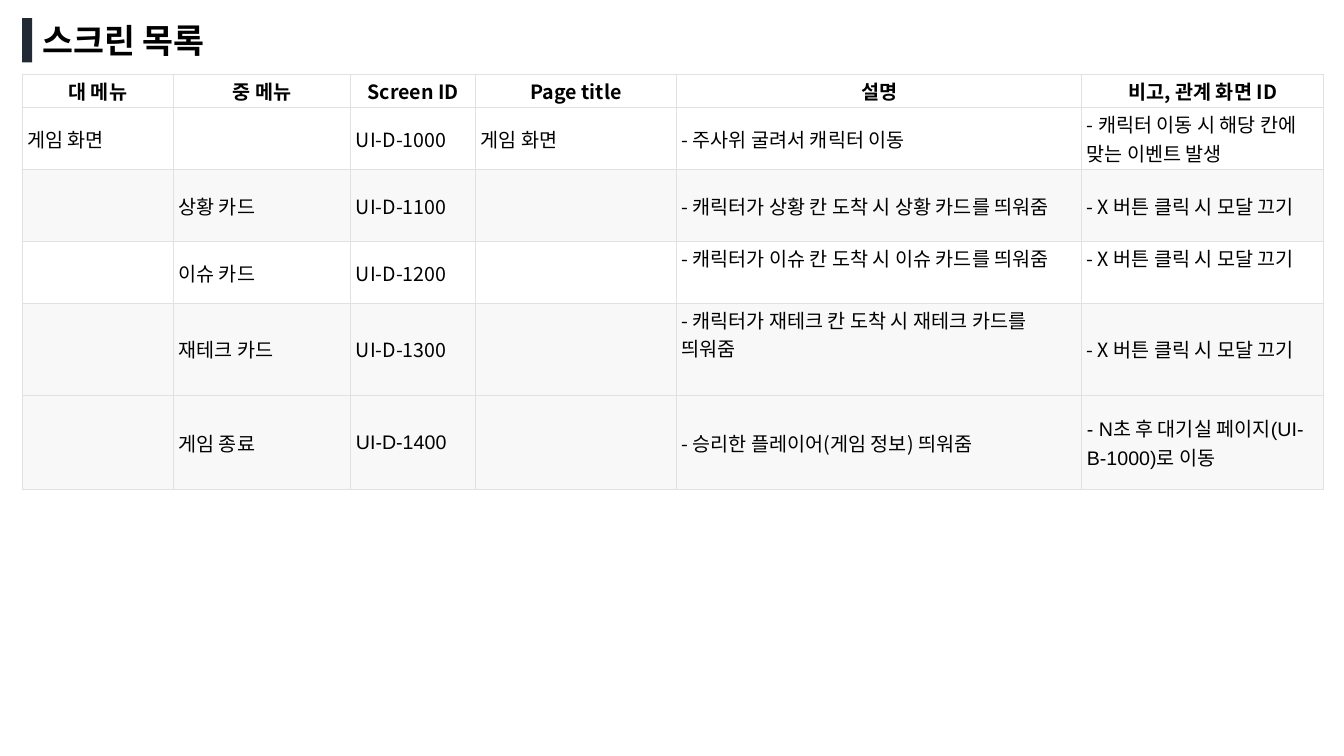
import pptx
import pptx.util
import pptx.dml.color
import pptx.enum.shapes
import pptx.enum.text
import pptx.oxml
import pptx.oxml.ns
from lxml import etree

Inches, Pt = pptx.util.Inches, pptx.util.Pt
ANCHOR = pptx.enum.text.MSO_ANCHOR
ALIGN = pptx.enum.text.PP_ALIGN
COLORS = {"text": "000000", "accent": "222A35", "border": "DFE2E5",
          "white": "FFFFFF", "stripe": "F8F8F8"}
KOREAN, LATIN = "Noto Sans CJK KR", "Arial"


def rgb(name):
    return pptx.dml.color.RGBColor.from_string(COLORS[name])


class SlideBuilder:
    def __init__(self, slide):
        self.slide = slide

    def add_run(self, paragraph, text, size, font=KOREAN, bold=False):
        run = paragraph.add_run()
        run.text = text
        run.font.size = Pt(size)
        run.font.name = font
        run.font.bold = bold
        run.font.color.rgb = rgb("text")
        east_asian = etree.SubElement(run.font._element, pptx.oxml.ns.qn("a:ea"))
        east_asian.set("typeface", KOREAN)

    def bar(self, left, top, width, height):
        accent = self.slide.shapes.add_shape(
            pptx.enum.shapes.MSO_SHAPE.RECTANGLE,
            Inches(left), Inches(top), Inches(width), Inches(height))
        accent.shadow.inherit = False
        accent.fill.solid()
        accent.fill.fore_color.rgb = rgb("accent")
        accent.line.fill.background()

    def title(self, text, left, top, width, height):
        heading = self.slide.shapes.add_textbox(
            Inches(left), Inches(top), Inches(width), Inches(height))
        frame = heading.text_frame
        frame.word_wrap = True
        frame.auto_size = pptx.enum.text.MSO_AUTO_SIZE.SHAPE_TO_FIT_TEXT
        self.add_run(frame.paragraphs[0], text, 24, LATIN, True)

    def border(self, cell):
        properties = cell._tc.get_or_add_tcPr()
        for position, side in enumerate(("lnL", "lnR", "lnT", "lnB")):
            properties.insert(position, pptx.oxml.parse_xml(
                f'<a:{side} {pptx.oxml.ns.nsdecls("a")} w="{Pt(0.75)}"><a:solidFill>'
                f'<a:srgbClr val="{COLORS["border"]}"/></a:solidFill></a:{side}>'))

    def cell(self, cell, text, fill, header=False, font=KOREAN, anchor=ANCHOR.MIDDLE):
        cell.fill.solid()
        cell.fill.fore_color.rgb = rgb(fill)
        self.border(cell)
        cell.vertical_anchor = anchor
        cell.margin_left = cell.margin_right = Inches(0.05)
        cell.margin_top = cell.margin_bottom = Inches(0.02)
        if text:
            paragraph = cell.text_frame.paragraphs[0]
            paragraph.alignment = ALIGN.CENTER if header else ALIGN.LEFT
            self.add_run(paragraph, text, 14, font, header)

    def table(self, left, top, widths, heights, rows, fills, arial_cells, top_cells):
        grid = self.slide.shapes.add_table(
            len(rows), len(widths), Inches(left), Inches(top),
            Inches(sum(widths)), Inches(sum(heights))).table
        grid.first_row = grid.horz_banding = False
        for column, width in zip(grid.columns, widths):
            column.width = Inches(width)
        for r, (texts, height, fill) in enumerate(zip(rows, heights, fills)):
            grid.rows[r].height = Inches(height)
            for c, text in enumerate(texts):
                self.cell(grid.cell(r, c), text, fill, header=r == 0,
                          font=LATIN if (r, c) in arial_cells else KOREAN,
                          anchor=ANCHOR.TOP if (r, c) in top_cells else ANCHOR.MIDDLE)


def main():
    deck = pptx.Presentation()
    deck.slide_width, deck.slide_height = Inches(13.33), Inches(7.5)
    builder = SlideBuilder(deck.slides.add_slide(deck.slide_layouts[6]))

    # Screen list
    close_modal = "- X 버튼 클릭 시 모달 끄기"
    screens = [
        ("대 메뉴", "중 메뉴", "Screen ID", "Page title", "설명", "비고, 관계 화면 ID"),
        ("게임 화면", "", "UI-D-1000", "게임 화면", "- 주사위 굴려서 캐릭터 이동",
         "- 캐릭터 이동 시 해당 칸에 맞는 이벤트 발생"),
        ("", "상황 카드", "UI-D-1100", "",
         "- 캐릭터가 상황 칸 도착 시 상황 카드를 띄워줌", close_modal),
        ("", "이슈 카드", "UI-D-1200", "",
         "- 캐릭터가 이슈 칸 도착 시 이슈 카드를 띄워줌", close_modal),
        ("", "재테크 카드", "UI-D-1300", "",
         "- 캐릭터가 재테크 칸 도착 시 재테크 카드를 띄워줌", close_modal),
        ("", "게임 종료", "UI-D-1400", "", "- 승리한 플레이어(게임 정보) 띄워줌",
         "- N초 후 대기실 페이지(UI-B-1000)로 이동"),
    ]
    builder.table(
        0.22, 0.74,
        widths=[1.5, 1.76, 1.24, 1.99, 4.02, 2.4],
        heights=[0.33, 0.61, 0.72, 0.61, 0.91, 0.94],
        rows=screens,
        fills=["white", "white", "stripe", "white", "stripe", "stripe"],
        arial_cells={(5, 2), (5, 5)},
        top_cells={(3, 4), (3, 5), (4, 4)})

    # Heading
    builder.bar(0.22, 0.18, 0.1, 0.44)
    builder.title("스크린 목록", 0.32, 0.15, 2.15, 0.5)

    deck.save("out.pptx")


if __name__ == "__main__":
    main()
